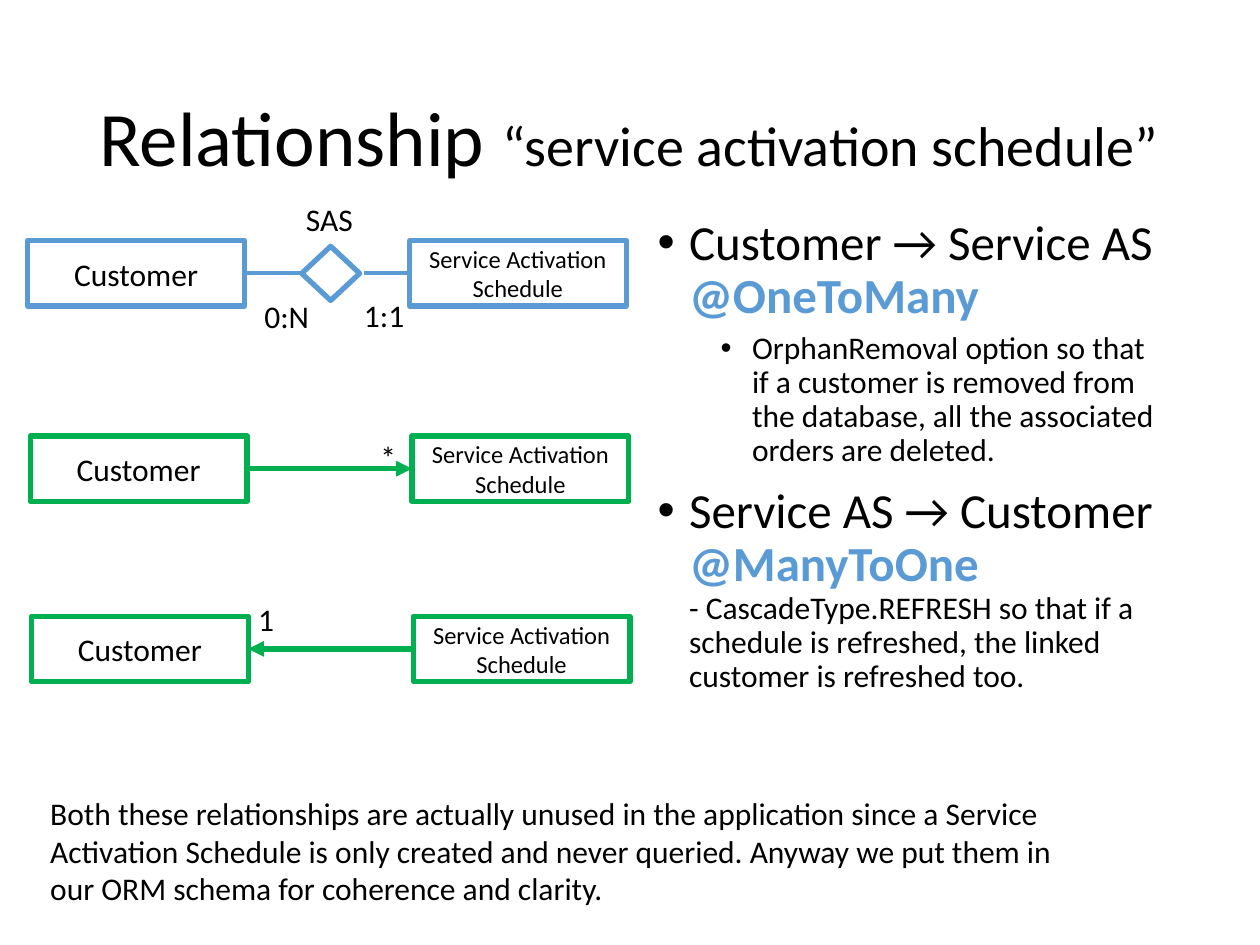
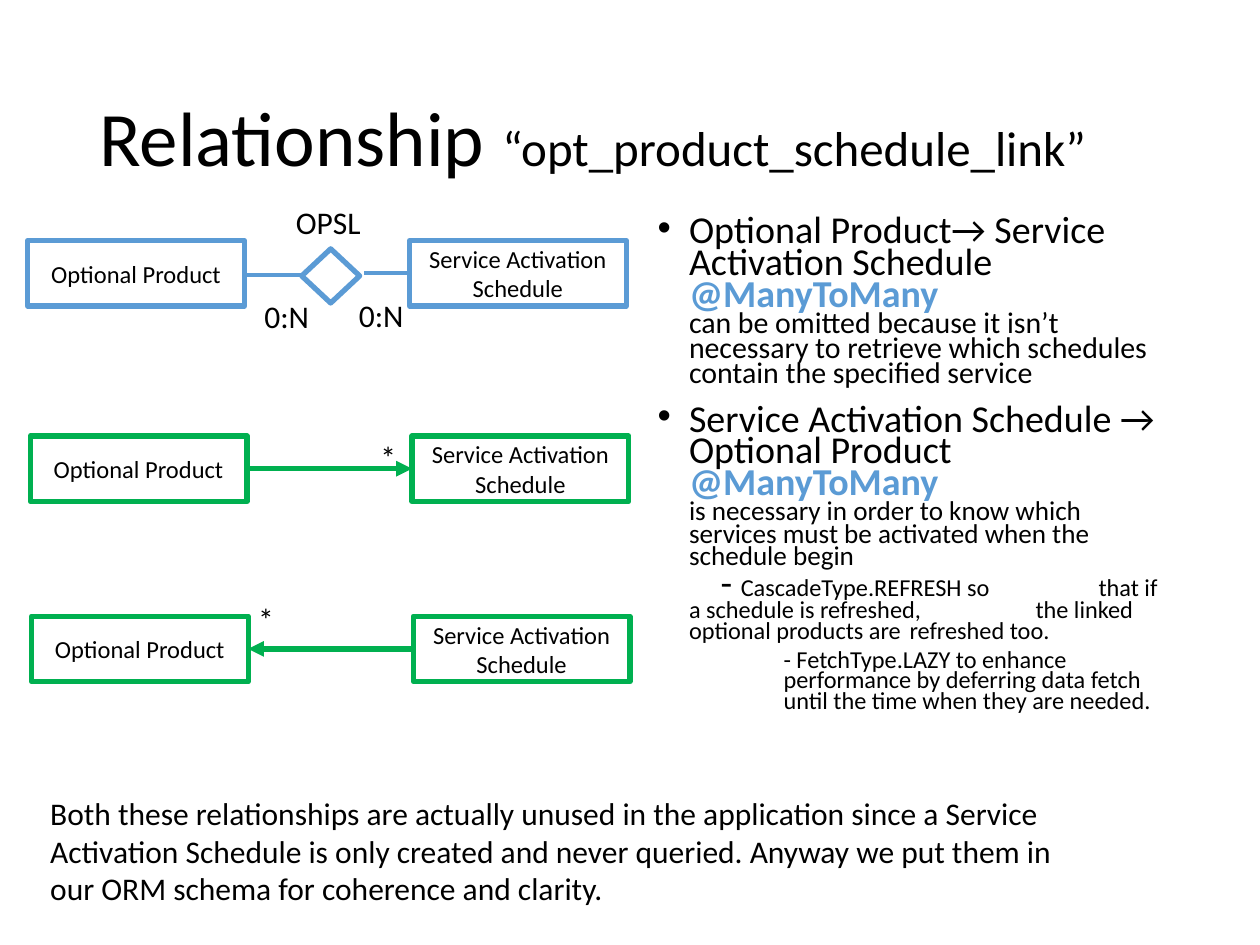
from lxml.etree import SubElement
from pptx import Presentation
from pptx.dml.color import RGBColor
from pptx.enum.shapes import MSO_CONNECTOR, MSO_SHAPE
from pptx.enum.text import MSO_ANCHOR, PP_ALIGN
from pptx.oxml.ns import qn
from pptx.util import Inches, Pt

COLOURS = {"text": "000000", "paper": "FFFFFF", "entity": "5B9BD5", "object": "00B050"}
FONT = "Calibri"
PAGE_WIDTH, PAGE_HEIGHT = Inches(10), Inches(7.5)
COLUMNS, ROWS = 100, 75
BOX_WIDTH, BOX_HEIGHT, BOX_STEP = 17.2, 5.2, 30.3
SCHEDULE = "Service Activation Schedule"
REMARK = (
    "Both these relationships are actually unused in the application since a Service "
    "Activation Schedule is only created and never queried. Anyway we put them in our "
    "ORM schema for coherence and clarity."
)
BULLET = {"left": 0.25, "indent": -0.25, "before": 10, "bullet": "•"}
SUB_BULLET = {"left": 0.75, "indent": -0.25, "before": 5, "bullet": "•"}
DASHED = {"left": 1, "indent": 0, "before": 5, "bullet": None}

RELATIONSHIPS = [
    {
        "name": "“service activation schedule”", "name_size": 32,
        "entity": "Customer", "entity_size": 18,
        "link": "SAS", "link_column": 23.3, "drop": 0,
        "schedule_count": "1:1", "count_column": 27.9, "return_count": "1",
        "spacing": 0.9,
        "notes": [
            (BULLET, [("Customer → Service AS \n", 28), ("@OneToMany", 28, "entity")]),
            (SUB_BULLET, [("OrphanRemoval option so that if a customer is removed from "
                           "the database, all the associated orders are deleted.", 18)]),
            (BULLET, [("Service AS → Customer \n", 28), ("@ManyToOne\n", 28, "entity"),
                      ("- CascadeType.REFRESH so that if a schedule is refreshed, "
                       "the linked customer is refreshed too.", 18)]),
        ],
    },
    {
        "name": "“opt_product_schedule_link”", "name_size": 28,
        "entity": "Optional Product", "entity_size": 14,
        "link": "OPSL", "link_column": 22.5, "drop": 0.2,
        "schedule_count": "0:N", "count_column": 27.5, "return_count": "*",
        "spacing": 0.7,
        "notes": [
            (BULLET, [("Optional Product→ Service Activation Schedule\n", 21.7),
                      ("@ManyToMany\n", 21.7, "entity"),
                      ("can be omitted because it isn’t necessary to retrieve which "
                       "schedules contain the specified service", 17.1)]),
            (BULLET, [("Service Activation Schedule → Optional Product\n", 21.7),
                      ("@ManyToMany\n", 21.7, "entity"),
                      ("is necessary in order to know which services must be activated "
                       "when the schedule begin\n", 15.5),
                      ("\t- ", 21.7),
                      ("CascadeType.REFRESH so\t\tthat if a schedule is refreshed,\t\t"
                       "the linked optional products are \trefreshed too.", 13.9)]),
            (DASHED, [("- FetchType.LAZY to enhance performance by deferring data fetch "
                       "until the time when they are needed.", 13.9)]),
        ],
    },
]


def across(columns):
    """Turn grid columns into a length."""
    return round(PAGE_WIDTH * columns / COLUMNS)


def down(rows):
    """Turn grid rows into a length."""
    return round(PAGE_HEIGHT * rows / ROWS)


def place(column, row, columns, rows):
    """Turn a grid area into left, top, width and height."""
    return across(column), down(row), across(columns), down(rows)


def colour(name):
    """Look up a named colour."""
    return RGBColor.from_string(COLOURS[name])


def apply(target, **values):
    """Set each named format value on the target."""
    for name, value in values.items():
        setattr(target, name, value)


def add_span(para, text, size, tint="text"):
    """Add a span of text, with a line break if it ends in one."""
    span = para.add_run()
    span.text = text.rstrip("\n")
    apply(span.font, name=FONT, size=Pt(size), bold=tint != "text")
    span.font.color.rgb = colour(tint)
    if text.endswith("\n"):
        para.add_line_break()
        SubElement(para._p[-1], qn("a:rPr"), sz=str(round(size * 100)))


def add_text(page, area, spans, wrap=True, anchor=MSO_ANCHOR.TOP):
    """Add a text box with one paragraph and return the paragraph."""
    frame = page.shapes.add_textbox(*place(*area)).text_frame
    apply(frame, word_wrap=wrap, vertical_anchor=anchor)
    para = frame.paragraphs[0]
    for span in spans:
        add_span(para, *span)
    return para


def add_label(page, column, row, columns, text):
    """Add a short label that does not wrap."""
    add_text(page, (column, row, columns, 4), [(text, 18)], wrap=False)


def add_figure(page, preset, area, tint, filled):
    """Add an outlined shape."""
    figure = page.shapes.add_shape(preset, *place(*area))
    figure.shadow.inherit = False
    if filled:
        figure.fill.solid()
        figure.fill.fore_color.rgb = colour("paper")
    else:
        figure.fill.background()
    figure.line.color.rgb = colour(tint)
    figure.line.width = Pt(3)
    return figure


def add_box_pair(page, column, row, relationship, tint, filled=False):
    """Add the box of the entity and the box of the schedule in one row."""
    captions = [(relationship["entity"], relationship["entity_size"]), (SCHEDULE, 14)]
    for index, caption in enumerate(captions):
        area = (column + index * BOX_STEP, row, BOX_WIDTH, BOX_HEIGHT)
        box = add_figure(page, MSO_SHAPE.RECTANGLE, area, tint, filled)
        apply(box.text_frame, word_wrap=True, vertical_anchor=MSO_ANCHOR.MIDDLE)
        para = box.text_frame.paragraphs[0]
        para.alignment = PP_ALIGN.CENTER
        add_span(para, *caption)


def add_line(page, start, end, row, tint, width, arrow=False):
    """Add a level line, with an arrowhead at its end if asked."""
    line = page.shapes.add_connector(
        MSO_CONNECTOR.STRAIGHT, across(start), down(row), across(end), down(row))
    line.line.color.rgb = colour(tint)
    line.line.width = Pt(width)
    properties = line._element.spPr
    if arrow:
        SubElement(properties.find(qn("a:ln")), qn("a:tailEnd"), type="triangle")
    SubElement(properties, qn("a:effectLst"))


def add_title(page, relationship):
    """Add the title with the name of the relationship."""
    spans = [("Relationship ", 44), (relationship["name"], relationship["name_size"])]
    para = add_text(page, (6.9, 4, 86.2, 14.5), spans, anchor=MSO_ANCHOR.MIDDLE)
    para.line_spacing = 0.9


def add_notes(page, relationship):
    """Add the bulleted notes on the right."""
    frame = page.shapes.add_textbox(*place(51.2, 16.8, 42.5, 47.6)).text_frame
    frame.word_wrap = True
    for index, (style, spans) in enumerate(relationship["notes"]):
        para = frame.add_paragraph() if index else frame.paragraphs[0]
        apply(para, line_spacing=relationship["spacing"], space_before=Pt(style["before"]))
        properties = para._p.get_or_add_pPr()
        properties.set("marL", str(Inches(style["left"])))
        properties.set("indent", str(Inches(style["indent"])))
        if style["bullet"]:
            SubElement(properties, qn("a:buFont"), typeface="Arial")
            SubElement(properties, qn("a:buChar"), char=style["bullet"])
        for span in spans:
            add_span(para, *span)


def add_entity_diagram(page, relationship):
    """Add the entity diagram with its diamond and counts."""
    drop = relationship["drop"]
    add_box_pair(page, 2.2, 19.1, relationship, "entity", filled=True)
    add_figure(page, MSO_SHAPE.DIAMOND, (23.95, 19.55 + drop, 4.6, 4.3), "entity", True)
    add_line(page, 32.5, 28.9, 21.7, "entity", 2.25)
    add_line(page, 24, 19.4, 21.7 + drop / 2, "entity", 2.25)
    add_label(page, relationship["count_column"], 23, 5.6, relationship["schedule_count"])
    add_label(page, 20, 23.1, 5.6, "0:N")
    add_label(page, relationship["link_column"], 15.4 + drop, 7.2, relationship["link"])


def add_object_diagrams(page, relationship):
    """Add the two directions of the object relationship."""
    add_box_pair(page, 2.4, 34.6, relationship, "object")
    add_line(page, 19.6, 32.7, 37.2, "object", 3, arrow=True)
    add_label(page, 29.2, 34.3, 3.3, "*")
    add_box_pair(page, 2.5, 48.9, relationship, "object")
    add_line(page, 32.7, 19.7, 51.5, "object", 3, arrow=True)
    add_label(page, 19.5, 47.1, 3.3, relationship["return_count"])


def main():
    """Build and save the deck."""
    deck = Presentation()
    apply(deck, slide_width=PAGE_WIDTH, slide_height=PAGE_HEIGHT)
    for relationship in RELATIONSHIPS:
        page = deck.slides.add_slide(deck.slide_layouts[6])
        add_title(page, relationship)
        add_notes(page, relationship)
        add_entity_diagram(page, relationship)
        add_object_diagrams(page, relationship)
        add_text(page, (3, 62.5, 81.8, 10.1), [(REMARK, 18)])
    deck.save("out.pptx")


if __name__ == "__main__":
    main()
